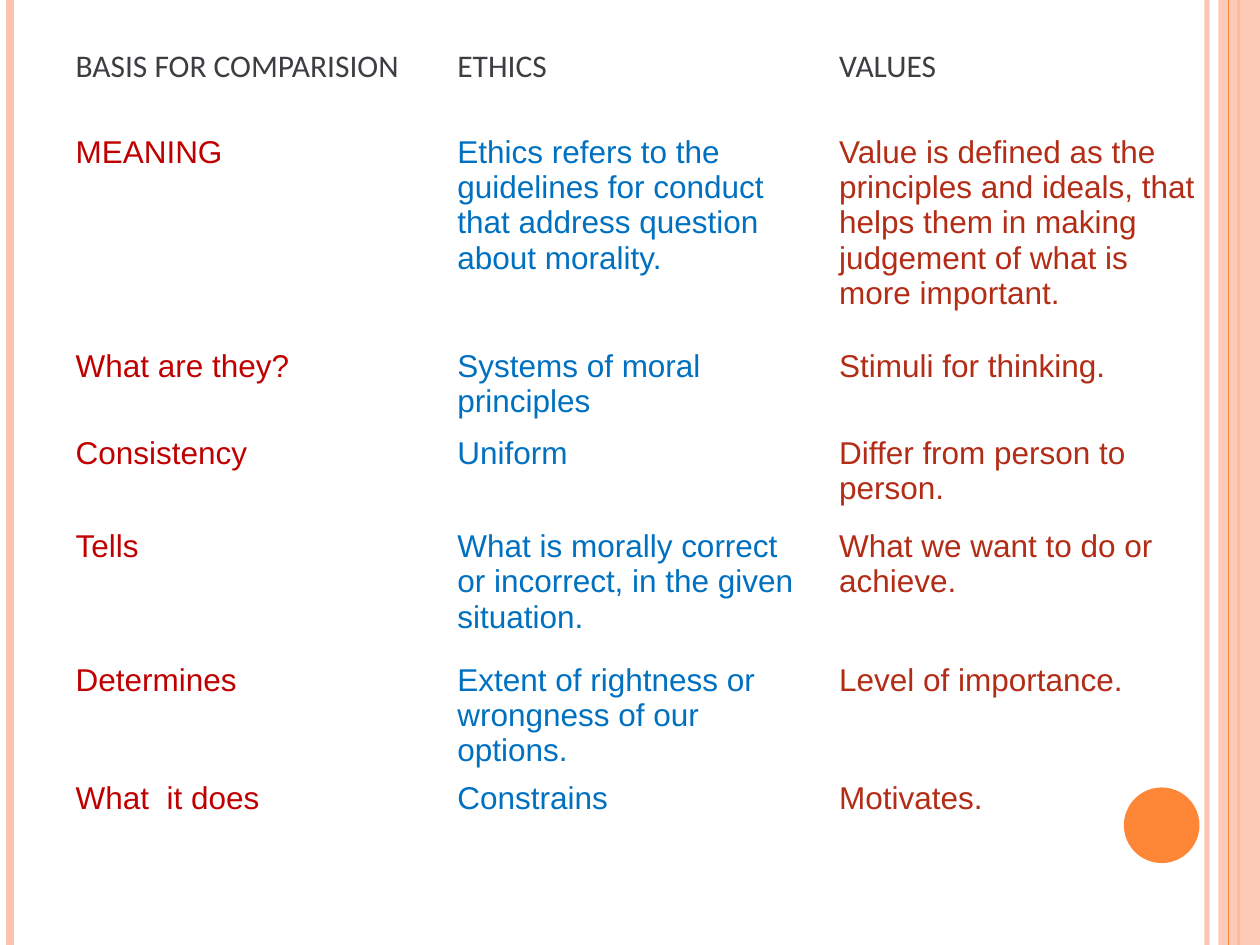
from lxml import etree
from pptx import Presentation
from pptx.dml.color import RGBColor
from pptx.enum import shapes
from pptx.oxml.ns import qn
from pptx.util import Inches, Pt

PEACH, ORANGE = "FEC3AE", "FE8637"
HEADER_COLOR = "3C3E42"
COLUMN_COLORS = ["C00000", "0070C0", "B32C16"]
NO_STYLE_NO_GRID = "{2D5ABB26-0587-4C30-8999-92F81FD0307C}"
ROW_HEIGHTS = [0.69, 1.7, 0.69, 0.74, 1.06, 0.94, 0.69, 0.69]
COLUMN_WIDTH = 3.03
HEADERS = ["BASIS FOR COMPARISION", "ETHICS", "VALUES"]
COMPARISONS = [
    ["MEANING",
     "Ethics refers to the guidelines for conduct that address question about morality.",
     "Value is defined as the principles and ideals, that helps them in making "
     "judgement of what is more important."],
    ["What are they?", "Systems of moral principles", "Stimuli for thinking."],
    ["Consistency", "Uniform", "Differ from person to person."],
    ["Tells", "What is morally correct or incorrect, in the given situation.",
     "What we want to do or achieve."],
    ["Determines", "Extent of rightness or wrongness of our options.",
     "Level of importance."],
    ["What  it does", "Constrains", "Motivates."],
]


def set_color(color_format, value):
    color_format.rgb = RGBColor.from_string(value)


def set_opacity(shape, percent):
    """Make the shape's only solid colour, fill or line, partly transparent."""
    color = next(shape._element.spPr.iter(qn("a:srgbClr")))
    etree.SubElement(color, qn("a:alpha"), val=str(percent * 1000))


def add_stripe(slide, x, width, color, opacity=100):
    """Draw a vertical line over the full slide height."""
    line = slide.shapes.add_connector(
        shapes.MSO_CONNECTOR.STRAIGHT, Inches(x), 0, Inches(x), Inches(7.5))
    set_color(line.line.color, color)
    line.line.width = Pt(width)
    if opacity < 100:
        set_opacity(line, opacity)
    etree.SubElement(line._element.spPr, qn("a:effectLst"))


def add_filled_shape(slide, kind, left, top, width, height, color, opacity=100):
    shape = slide.shapes.add_shape(
        kind, Inches(left), Inches(top), Inches(width), Inches(height))
    shape.shadow.inherit = False
    shape.line.fill.background()
    shape.fill.solid()
    set_color(shape.fill.fore_color, color)
    if opacity < 100:
        set_opacity(shape, opacity)


def write_text(cell, text, color, font="Arial", size=18):
    run = cell.text_frame.paragraphs[0].add_run()
    run.text = text
    run.font.name = font
    run.font.size = Pt(size)
    set_color(run.font.color, color)


def add_comparison_table(slide):
    frame = slide.shapes.add_table(
        len(ROW_HEIGHTS), len(HEADERS), Inches(0.5), Inches(0.33),
        Inches(COLUMN_WIDTH * len(HEADERS)), Inches(sum(ROW_HEIGHTS)))
    table = frame.table
    table.first_row = table.horz_banding = False
    table._tbl.tblPr.find(qn("a:tableStyleId")).text = NO_STYLE_NO_GRID
    for column in table.columns:
        column.width = Inches(COLUMN_WIDTH)
    for row, height in zip(table.rows, ROW_HEIGHTS):
        row.height = Inches(height)
    for cell in table.iter_cells():
        cell.fill.background()

    for column, header in enumerate(HEADERS):
        write_text(table.cell(0, column), header, HEADER_COLOR, font="Calibri")
    for row, texts in enumerate(COMPARISONS, start=1):
        for column, (text, color) in enumerate(zip(texts, COLUMN_COLORS)):
            write_text(table.cell(row, column), text, color)


def main():
    presentation = Presentation()
    presentation.slide_width, presentation.slide_height = Inches(10), Inches(7.5)
    slide = presentation.slides.add_slide(presentation.slide_layouts[6])

    add_stripe(slide, 9.58, 3, PEACH, opacity=93)
    add_stripe(slide, 0.08, 4.5, PEACH)
    add_stripe(slide, 9.83, 1.5, ORANGE)
    add_filled_shape(slide, shapes.MSO_SHAPE.RECTANGLE,
                     9.67, 0, 0.33, 7.5, PEACH, opacity=87)
    add_stripe(slide, 9.75, 0.75, ORANGE)
    add_filled_shape(slide, shapes.MSO_SHAPE.OVAL, 8.92, 6.25, 0.6, 0.6, ORANGE)
    add_comparison_table(slide)

    presentation.save("out.pptx")


if __name__ == "__main__":
    main()
